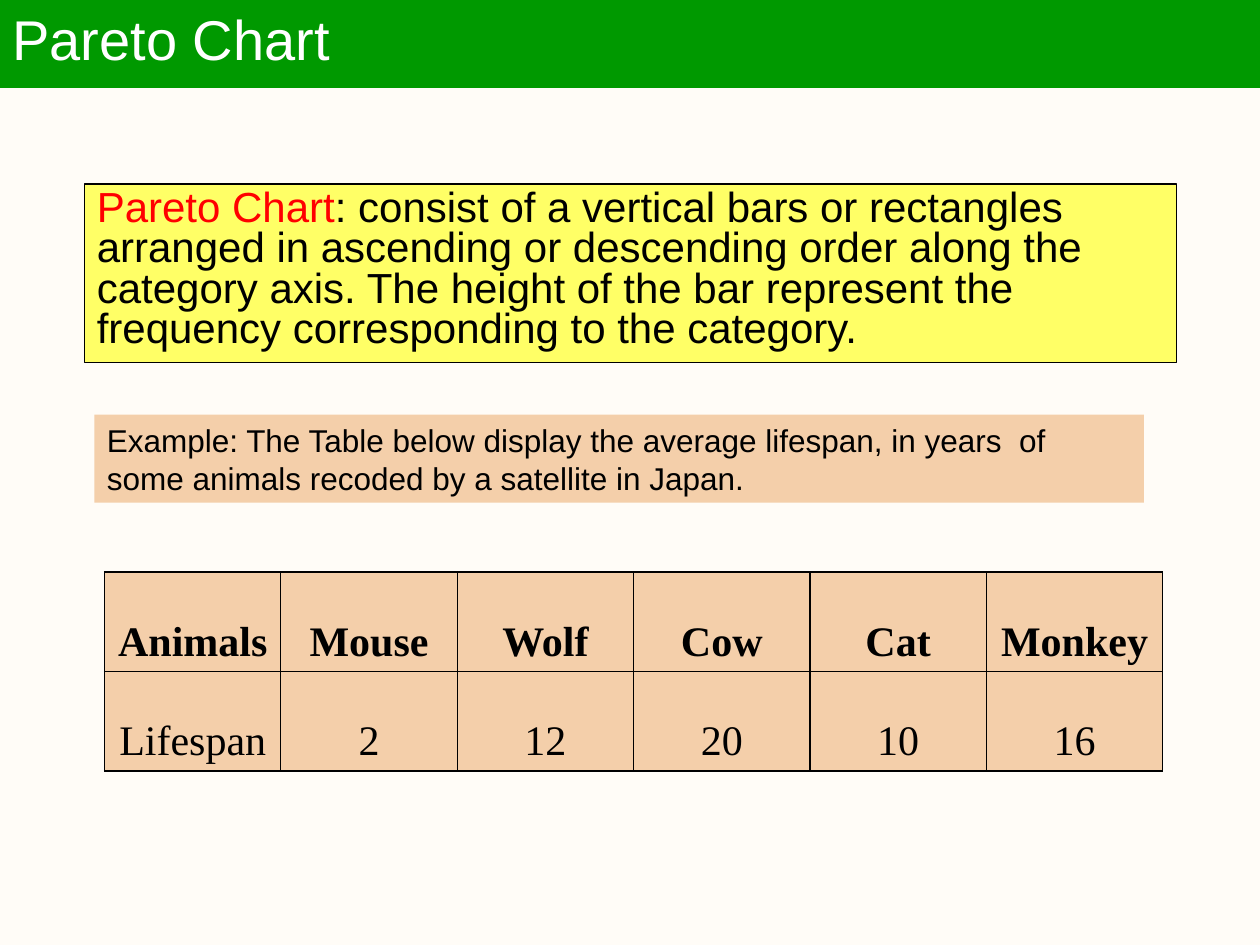
"""Build the Pareto Chart slide with its definition, example and data table."""
from lxml import etree
from pptx import Presentation
from pptx.dml.color import RGBColor
from pptx.enum.shapes import MSO_SHAPE
from pptx.enum.text import MSO_ANCHOR, PP_ALIGN
from pptx.oxml.ns import qn
from pptx.util import Inches, Pt

RECTANGLE = MSO_SHAPE.RECTANGLE
TOP, MIDDLE, BOTTOM = MSO_ANCHOR.TOP, MSO_ANCHOR.MIDDLE, MSO_ANCHOR.BOTTOM
LEFT, CENTER = PP_ALIGN.LEFT, PP_ALIGN.CENTER

CREAM = RGBColor(0xFF, 0xFC, 0xF7)
YELLOW = RGBColor(0xFF, 0xFF, 0x66)
PEACH = RGBColor(0xF4, 0xCF, 0xAA)
GREEN = RGBColor(0x00, 0x99, 0x00)
RED = RGBColor(0xFF, 0x00, 0x00)
BLACK = RGBColor(0x00, 0x00, 0x00)
WHITE = RGBColor(0xFF, 0xFF, 0xFF)

LIFESPANS = [
    ("Animals", "Mouse", "Wolf", "Cow", "Cat", "Monkey"),
    ("Lifespan", "2", "12", "20", "10", "16"),
]


class SlideBuilder:
    body_font = "Arial"
    table_font = "Times New Roman"
    table_size = 24
    inner_border = 0.75
    outer_border = 1

    def __init__(self, slide):
        self.slide = slide

    def background(self, color):
        fill = self.slide.background.fill
        fill.solid()
        fill.fore_color.rgb = color

    def run(self, paragraph, text, size, color, font, bold=False):
        run = paragraph.add_run()
        run.text = text
        run.font.name = font
        run.font.size = Pt(size)
        run.font.bold = bold
        run.font.color.rgb = color

    def box(self, left, top, width, height, fill, runs, size,
            line=None, anchor=TOP, spacing=1.0):
        shape = self.slide.shapes.add_shape(
            RECTANGLE, Inches(left), Inches(top), Inches(width), Inches(height))
        shape.shadow.inherit = False
        shape.fill.solid()
        shape.fill.fore_color.rgb = fill
        if line is None:
            shape.line.fill.background()
        else:
            shape.line.color.rgb = line
            shape.line.width = Pt(0.75)
        frame = shape.text_frame
        frame.word_wrap = True
        frame.vertical_anchor = anchor
        paragraph = frame.paragraphs[0]
        paragraph.alignment = LEFT
        paragraph.line_spacing = spacing
        for text, color in runs:
            self.run(paragraph, text, size, color, self.body_font)

    def border(self, cell, side, width):
        line = etree.SubElement(cell._tc.get_or_add_tcPr(), qn(f"a:ln{side}"),
                                w=str(Pt(width)))
        fill = etree.SubElement(line, qn("a:solidFill"))
        etree.SubElement(fill, qn("a:srgbClr"), val=str(BLACK))

    def table(self, left, top, column_width, row_height, rows):
        last_row, last_column = len(rows) - 1, len(rows[0]) - 1
        table = self.slide.shapes.add_table(
            len(rows), len(rows[0]), Inches(left), Inches(top),
            Inches(column_width * len(rows[0])),
            Inches(row_height * len(rows))).table
        table.first_row = table.horz_banding = False
        for row_index, values in enumerate(rows):
            for column_index, value in enumerate(values):
                cell = table.cell(row_index, column_index)
                edges = {"L": column_index == 0, "R": column_index == last_column,
                         "T": row_index == 0, "B": row_index == last_row}
                for side, is_outer in edges.items():
                    self.border(cell, side,
                                self.outer_border if is_outer else self.inner_border)
                cell.fill.solid()
                cell.fill.fore_color.rgb = PEACH
                cell.vertical_anchor = BOTTOM
                paragraph = cell.text_frame.paragraphs[0]
                paragraph.alignment = CENTER
                self.run(paragraph, value, self.table_size, BLACK,
                         self.table_font, bold=row_index == 0)


def main():
    presentation = Presentation()
    presentation.slide_width = Inches(10)
    presentation.slide_height = Inches(7.5)
    builder = SlideBuilder(
        presentation.slides.add_slide(presentation.slide_layouts[6]))
    builder.background(CREAM)
    builder.box(0.67, 1.46, 8.67, 1.42, YELLOW, [
        ("Pareto Chart", RED),
        (": consist of a vertical bars or rectangles arranged in ascending or "
         "descending order along the category axis. The height of the bar "
         "represent the frequency corresponding to the category.", BLACK),
    ], 24, line=BLACK, spacing=0.8)
    builder.table(0.83, 4.54, 1.4, 0.79, LIFESPANS)
    builder.box(0.75, 3.29, 8.33, 0.7, PEACH, [
        ("Example: The Table below display the average lifespan, in years  of "
         "some animals recoded by a satellite in Japan.", BLACK),
    ], 18)
    builder.box(0, -0.02, 10, 0.71, GREEN, [("Pareto Chart", WHITE)], 32,
                line=GREEN, anchor=MIDDLE, spacing=0.9)
    presentation.save("out.pptx")


if __name__ == "__main__":
    main()
